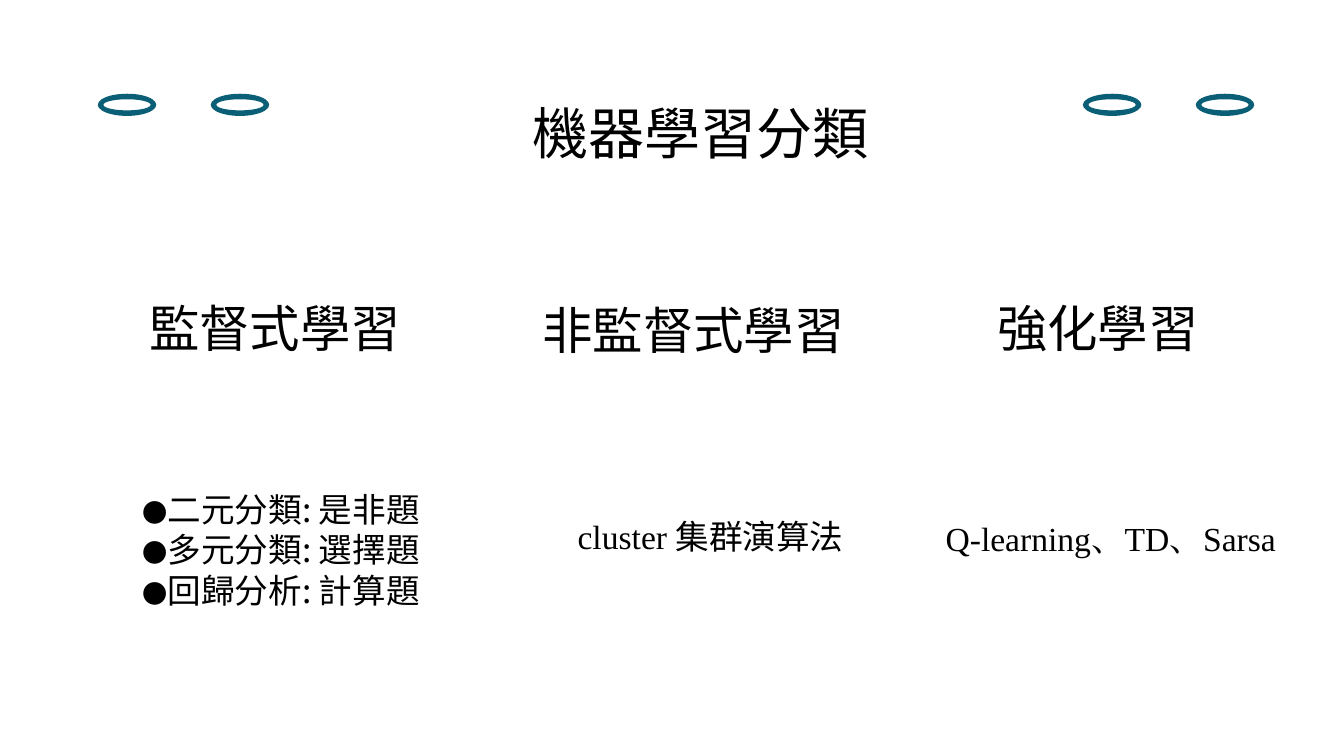
from dataclasses import dataclass

from lxml import etree
from pptx import Presentation
from pptx.dml.color import RGBColor
from pptx.enum.shapes import MSO_SHAPE
from pptx.enum.text import MSO_AUTO_SIZE, PP_ALIGN
from pptx.oxml.ns import qn
from pptx.util import Inches, Pt

DONUT = MSO_SHAPE.DONUT
GROW = MSO_AUTO_SIZE.SHAPE_TO_FIT_TEXT
CENTER = PP_ALIGN.CENTER


@dataclass(frozen=True)
class Theme:
    """Colours, fonts and type sizes of the slide."""
    ink: RGBColor = RGBColor(0x00, 0x00, 0x00)
    ring: RGBColor = RGBColor(0x0A, 0x5E, 0x75)
    sans: str = "Noto Sans CJK SC"
    serif: str = "Times New Roman"
    title: int = 40
    heading: int = 36
    body: int = 24
    dot: int = 18


THEME = Theme()
METHOD_FORMAT = {"line_spacing": 0.9, "space_before": Pt(10)}


def add_span(para, text, size, face):
    """Append one run with its Latin and East Asian typeface."""
    span = para.add_run()
    span.text = text
    for name, value in {"size": Pt(size), "name": face}.items():
        setattr(span.font, name, value)
    span.font.color.rgb = THEME.ink
    latin = span.font._element.find(qn("a:latin"))
    east_asian = etree.Element(qn("a:ea"), typeface=face)
    latin.addnext(east_asian)


def add_text(page, box, lines, para_format=None):
    """Fill a text box with lines, each a list of (text, size, face)."""
    frame = page.shapes.add_textbox(*map(Inches, box)).text_frame
    for name, value in {"word_wrap": True, "auto_size": GROW}.items():
        setattr(frame, name, value)
    for index, spans in enumerate(lines):
        para = frame.add_paragraph() if index else frame.paragraphs[0]
        for name, value in (para_format or {}).items():
            setattr(para, name, value)
        for span in spans:
            add_span(para, *span)


def add_ring_pair(page, box):
    """Place a ring at each end of the box."""
    left, top, width, height = box
    ring_width = 0.58
    for ring_left in (left, left + width - ring_width):
        ring = page.shapes.add_shape(
            DONUT, *map(Inches, (ring_left, top, ring_width, height)))
        ring.shadow.inherit = False
        ring.fill.solid()
        ring.fill.fore_color.rgb = THEME.ring
        ring.line.fill.background()


def add_header(page, box):
    """Place the title between two pairs of rings."""
    left, top, width, height = box
    pair_width, pair_height = 1.7, 0.22
    for pair_left in (left, left + width - pair_width):
        add_ring_pair(page, (pair_left, top, pair_width, pair_height))
    add_text(page, (left + 3.4, top, 5.15, height),
             [[("機器學習分類", THEME.title, THEME.sans)]],
             {"alignment": CENTER})


def add_category(page, heading_box, heading, detail_box, lines, para_format):
    """Place a category heading and the details below it."""
    add_text(page, heading_box, [[(heading, THEME.heading, THEME.sans)]])
    add_text(page, detail_box, lines, para_format)


def task_line(text):
    """Return the spans of one dotted task line."""
    return [(" ", THEME.body, THEME.sans), ("●", THEME.dot, THEME.sans),
            (text, THEME.body, THEME.sans)]


def build_slide(page):
    """Place the header and the three learning categories."""
    add_header(page, (0.97, 0.93, 11.47, 0.77))
    tasks = ("二元分類: 是非題", "多元分類: 選擇題", "回歸分析: 計算題")
    categories = (
        ((1.38, 2.9, 2.85, 0.71), "監督式學習", (1.24, 4.8, 3.6, 1.31),
         [task_line(task) for task in tasks], None),
        ((5.28, 2.92, 3.34, 0.71), "非監督式學習", (5.63, 5.11, 2.96, 0.77),
         [[("cluster ", THEME.body, THEME.serif),
           ("集群演算法", THEME.body, THEME.sans)]], METHOD_FORMAT),
        ((9.79, 2.9, 3.19, 0.71), "強化學習", (9.28, 5.13, 3.84, 0.46),
         [[("Q-learning、TD、Sarsa", THEME.body, THEME.serif)]],
         METHOD_FORMAT),
    )
    for category in categories:
        add_category(page, *category)


def main():
    """Build and save the deck."""
    deck = Presentation()
    deck.slide_width, deck.slide_height = Inches(13.33), Inches(7.5)
    build_slide(deck.slides.add_slide(deck.slide_layouts[6]))
    deck.save("out.pptx")


if __name__ == "__main__":
    main()
